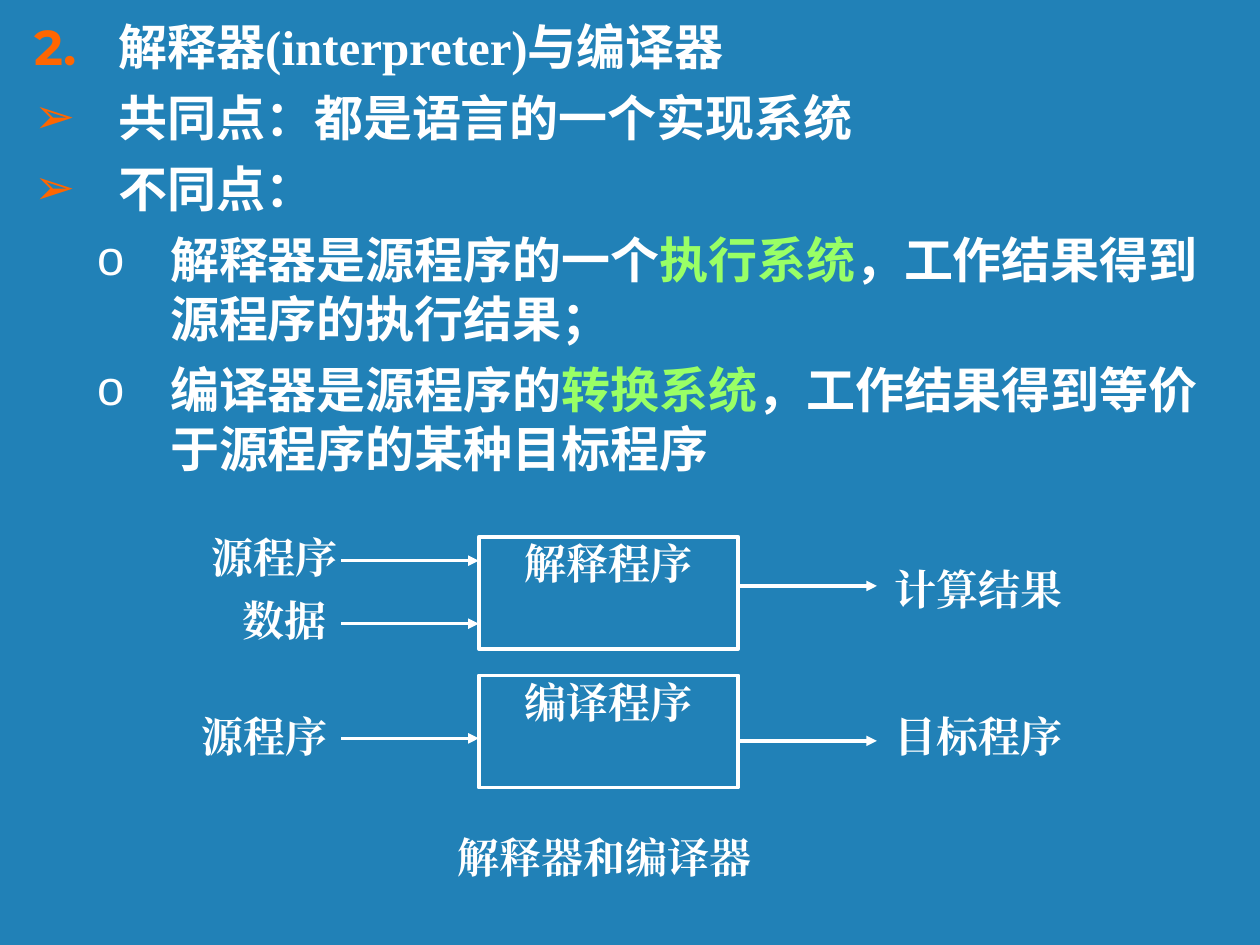
from pptx import Presentation
from pptx import util as u
from pptx.dml.color import RGBColor
from pptx.enum import shapes, text
from pptx.oxml.ns import qn
from lxml import etree

BLUE = RGBColor(0x21, 0x81, 0xB7)
WHITE = RGBColor(0xFF, 0xFF, 0xFF)
ORANGE = RGBColor(0xFF, 0x66, 0x00)
GREEN = RGBColor(0x99, 0xFF, 0x66)
SANS, SERIF = "Montserrat", "Times New Roman"

POINTS = [
    (0, "2.", [("解释器", SANS, WHITE), ("(interpreter)", SERIF, WHITE), ("与编译器", SANS, WHITE)]),
    (0, "➢", [("共同点：都是语言的一个实现系统", SANS, WHITE)]),
    (0, "➢", [("不同点：", SANS, WHITE)]),
    (1, "o", [("解释器是源程序的一个", SANS, WHITE), ("执行系统", SANS, GREEN),
              ("，工作结果得到源程序的执行结果；", SANS, WHITE)]),
    (1, "o", [("编译器是源程序的", SANS, WHITE), ("转换系统", SANS, GREEN),
              ("，工作结果得到等价于源程序的某种目标程序", SANS, WHITE)]),
]
LEVELS = [(0.67, -0.67, ORANGE), (1.08, -0.58, WHITE)]


def format_run(r, size, name, color):
    """Make a run bold and set its size, typeface and colour."""
    r.font.size, r.font.bold, r.font.name = u.Pt(size), True, name
    r.font.color.rgb = color
    etree.SubElement(r.font._element, qn("a:ea"), typeface=name)


def set_bullet(p, level, mark):
    """Give a paragraph its hanging indent and its coloured number or bullet."""
    margin, indent, color = LEVELS[level]
    pPr = p._p.get_or_add_pPr()
    pPr.set("marL", str(u.Inches(margin)))
    pPr.set("indent", str(u.Inches(indent)))
    clr = etree.SubElement(pPr, qn("a:buClr"))
    etree.SubElement(clr, qn("a:srgbClr"), val=str(color))
    if mark[0].isdigit():
        etree.SubElement(pPr, qn("a:buAutoNum"), type="arabicPeriod", startAt=mark[:-1])
    else:
        etree.SubElement(pPr, qn("a:buChar"), char=mark)


def add_points(sp, left, top, width, height):
    """Fill the body placeholder with the comparison points."""
    sp.left, sp.top, sp.width, sp.height = map(u.Inches, (left, top, width, height))
    tf = sp.text_frame
    tf.auto_size = text.MSO_AUTO_SIZE.NONE
    for i, (level, mark, runs) in enumerate(POINTS):
        p = tf.add_paragraph() if i else tf.paragraphs[0]
        p.level, p.space_before = level, u.Pt(7)
        set_bullet(p, level, mark)
        for words, name, color in runs:
            r = p.add_run()
            r.text = words
            format_run(r, 28, name, color)


def write(sp, words, align, inset=None):
    """Write one line of diagram text into a shape."""
    tf = sp.text_frame
    tf.word_wrap = True
    tf.vertical_anchor = text.MSO_ANCHOR.TOP
    if inset is not None:
        tf.margin_left = tf.margin_top = tf.margin_right = tf.margin_bottom = u.Inches(inset)
    tf.text = words
    p = tf.paragraphs[0]
    p.alignment = align
    format_run(p.runs[0], 24, SERIF, WHITE)
    return p


def add_label(group, words, left, top, width):
    """Add an input or output label."""
    sp = group.shapes.add_textbox(*map(u.Inches, (left, top, width, 0.5)))
    p = write(sp, words, text.PP_ALIGN.LEFT)
    p.space_before = u.Pt(15)
    sp.text_frame.auto_size = text.MSO_AUTO_SIZE.SHAPE_TO_FIT_TEXT


def add_arrow(group, x1, x2, y):
    """Add a level arrow from x1 to x2."""
    cx = group.shapes.add_connector(shapes.MSO_CONNECTOR.STRAIGHT,
                                    *map(u.Inches, (x1, y, x2, y)))
    cx.line.color.rgb, cx.line.width = WHITE, u.Pt(2)
    etree.SubElement(cx.line._get_or_add_ln(), qn("a:tailEnd"), type="triangle")
    etree.SubElement(cx._element.spPr, qn("a:effectLst"))


def add_process(group, name, left, top, width, height, inputs, output):
    """Add a program box with its input and output arrows and labels."""
    sp = group.shapes.add_shape(shapes.MSO_SHAPE.RECTANGLE,
                                *map(u.Inches, (left, top, width, height)))
    sp.shadow.inherit = False
    sp.fill.background()
    sp.line.color.rgb, sp.line.width = WHITE, u.Pt(2)
    write(sp, name, text.PP_ALIGN.CENTER, 0.01)
    for words, x, y, w, arrow_y in inputs:
        add_label(group, words, x, y, w)
        add_arrow(group, left - 1.09, left, arrow_y)
    words, y, arrow_y = output
    add_label(group, words, left + 3.2, y, 1.67)
    add_arrow(group, left + width, left + width + 1.1, arrow_y)


def add_diagram(s, left, top):
    """Add the two processes and the caption below them."""
    group = s.shapes.add_group_shape()
    add_process(group, "解释程序", left, top, 2.06, 0.89,
                [("源程序", 1.58, 4.17, 1.42, 4.45), ("数据", 1.83, 4.67, 0.92, 4.95)],
                ("计算结果", 4.42, 4.65))
    add_process(group, "编译程序", left, top + 1.1, 2.06, 0.89,
                [("源程序", 1.5, 5.59, 1.42, 5.86)], ("目标程序", 5.59, 5.88))
    caption = group.shapes.add_textbox(
        *map(u.Inches, (left - 0.18, top + 2.33, 2.88, 0.49)))
    write(caption, "解释器和编译器", text.PP_ALIGN.JUSTIFY, 0.01)


def main():
    """Build and save the slide."""
    prs = Presentation()
    prs.slide_width, prs.slide_height = u.Inches(10), u.Inches(7.5)
    s = prs.slides.add_slide(prs.slide_layouts[1])
    s.background.fill.solid()
    s.background.fill.fore_color.rgb = BLUE
    title = s.shapes.title._element
    title.getparent().remove(title)
    add_points(s.placeholders[1], 0.17, 0.08, 9.58, 3.83)
    add_diagram(s, 3.8, 4.26)
    prs.save("out.pptx")


if __name__ == "__main__":
    main()
